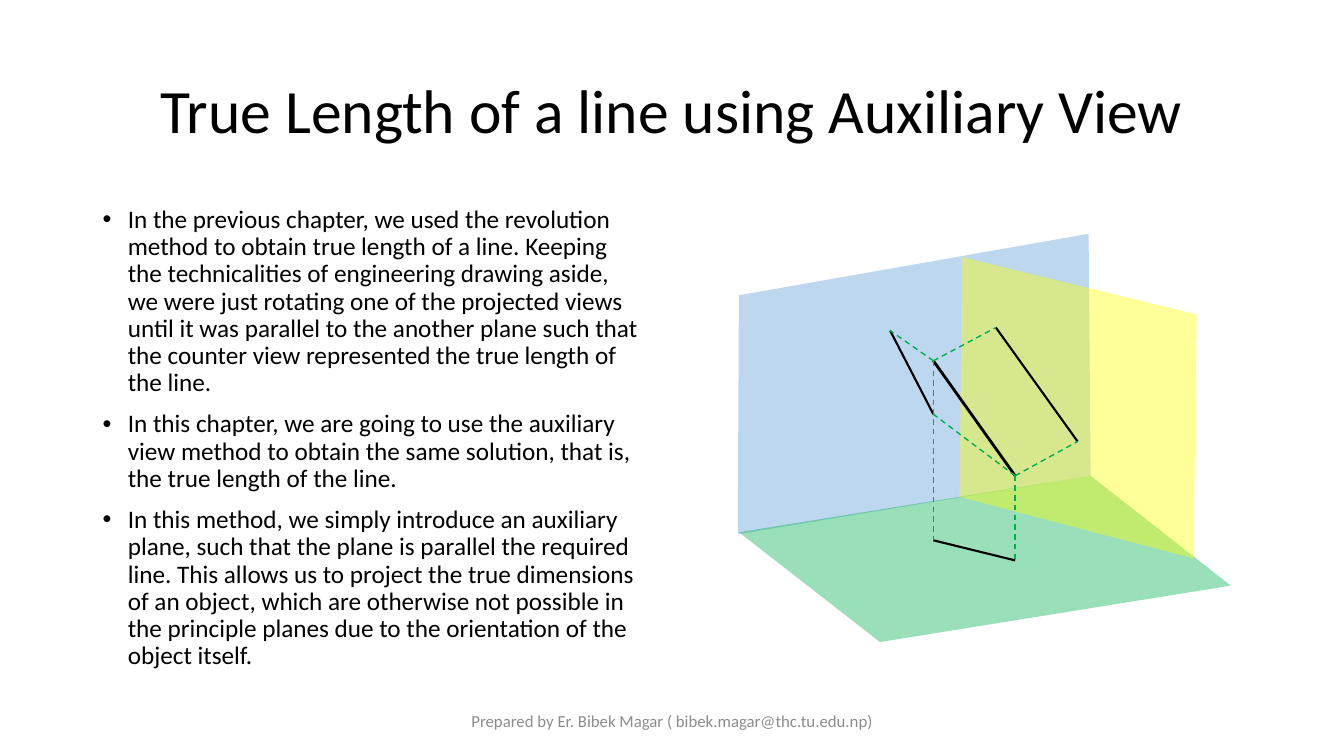
from lxml.etree import SubElement
from pptx import Presentation
from pptx.dml.color import RGBColor
from pptx.enum.dml import MSO_LINE_DASH_STYLE as Dash
from pptx.enum.shapes import MSO_CONNECTOR_TYPE as Connector
from pptx.enum.text import MSO_VERTICAL_ANCHOR as Anchor, PP_PARAGRAPH_ALIGNMENT as Align
from pptx.oxml.ns import qn
from pptx.util import Inches, Pt


def color(code):
    return RGBColor.from_string(code)


def apply(target, values):
    for name, value in values.items():
        setattr(target, name, value)


class Board:
    """Draws on one slide; places are percent shares of its width and height."""
    font_name = "Calibri"
    black, gray, green = "000000", "8C8C8C", "00B050"
    blue, yellow = "5B9BD5", "FFFF00"
    opacity = 40

    def __init__(self, presentation):
        self.width = presentation.slide_width
        self.height = presentation.slide_height
        self.slide = presentation.slides.add_slide(presentation.slide_layouts[6])

    def place(self, across, down):
        return round(self.width * across / 100), round(self.height * down / 100)

    def text(self, position, size, paragraphs, points, code,
             anchor=Anchor.MIDDLE, bullet=None, **layout):
        shape = self.slide.shapes.add_textbox(*self.place(*position), *self.place(*size))
        frame = shape.text_frame
        apply(frame, {"word_wrap": True, "vertical_anchor": anchor})
        for index, wording in enumerate(paragraphs):
            paragraph = frame.add_paragraph() if index else frame.paragraphs[0]
            paragraph.text = wording
            if bullet:
                self.add_bullet(paragraph, bullet)
            apply(paragraph, layout)
            if index:
                paragraph.space_before = Pt(10)
            apply(paragraph.font, {"name": self.font_name, "size": Pt(points)})
            paragraph.font.color.rgb = color(code)

    def add_bullet(self, paragraph, character):
        properties = paragraph._p.get_or_add_pPr()
        apply_indent = {"marL": Inches(0.25), "indent": -Inches(0.25)}
        for name, value in apply_indent.items():
            properties.set(name, str(value))
        SubElement(properties, qn("a:buFont"), typeface="Arial")
        SubElement(properties, qn("a:buChar"), char=character)

    def plane(self, corners, code):
        first, *others = [self.place(*corner) for corner in corners]
        builder = self.slide.shapes.build_freeform(*first)
        builder.add_line_segments(others, close=True)
        shape = builder.convert_to_shape()
        shape.shadow.inherit = False
        shape.line.fill.background()
        shape.fill.solid()
        shape.fill.fore_color.rgb = color(code)
        fill = shape._element.spPr.find(qn("a:solidFill"))
        SubElement(fill[0], qn("a:alpha"), val=str(self.opacity * 1000))

    def line(self, start, end, code, points, dash=None):
        connector = self.slide.shapes.add_connector(
            Connector.STRAIGHT, *self.place(*start), *self.place(*end))
        apply(connector.line, {"width": Pt(points), "dash_style": dash})
        connector.line.color.rgb = color(code)
        SubElement(connector._element.spPr, qn("a:effectLst"))

    def projector(self, start, end):
        self.line(start, end, self.green, 1, Dash.DASH)


def main():
    presentation = Presentation()
    apply(presentation, {"slide_width": Inches(13.33), "slide_height": Inches(7.5)})
    board = Board(presentation)

    # Title, explanation and footer
    board.text((6.9, 5.33), (86.25, 19.33), ["True Length of a line using Auxiliary View"],
               44, board.black, alignment=Align.CENTER, line_spacing=0.9)
    board.text((6.9, 26.67), (41.85, 63.47), [
        "In the previous chapter, we used the revolution method to obtain true length of a "
        "line. Keeping the technicalities of engineering drawing aside, we were just rotating "
        "one of the projected views until it was parallel to the another plane such that the "
        "counter view represented the true length of the line.",
        "In this chapter, we are going to use the auxiliary view method to obtain the same "
        "solution, that is, the true length of the line.",
        "In this method, we simply introduce an auxiliary plane, such that the plane is "
        "parallel the required line. This allows us to project the true dimensions of an "
        "object, which are otherwise not possible in the principle planes due to the "
        "orientation of the object itself.",
    ], 18, board.black, anchor=Anchor.TOP, bullet="•", line_spacing=0.9)
    board.text((33.15, 92.67), (33.75, 5.33),
               ["Prepared by Er. Bibek Magar ( bibek.magar@thc.tu.edu.np)"],
               12, board.gray, alignment=Align.CENTER)

    # Front, horizontal and auxiliary planes
    back_corner = (81.15, 62.93)
    board.plane([(54.9, 70.67), (54.9, 69.73), (54.98, 39.07), (81, 30.93), back_corner],
                board.blue)
    board.plane([(54.98, 70.4), (65.48, 84.93), (91.58, 77.47), back_corner], board.green)
    board.plane([(71.4, 65.73), (71.55, 34), (89.03, 41.6), (88.8, 73.87)], board.yellow)

    # The line in space, then each view with its two projectors
    space_line = [(69.45, 47.73), (75.53, 62.93)]
    views = {
        "front": [(66.23, 43.73), (69.45, 54.8)],
        "top": [(69.45, 71.47), (75.53, 74.13)],
        "auxiliary": [(74.1, 43.33), (80.18, 58.4)],
    }
    board.line(*space_line, board.black, 2)
    for view in views.values():
        board.line(*view, board.black, 1.5)
        for point, image in zip(space_line, view):
            board.projector(point, image)

    presentation.save("out.pptx")


if __name__ == "__main__":
    main()
